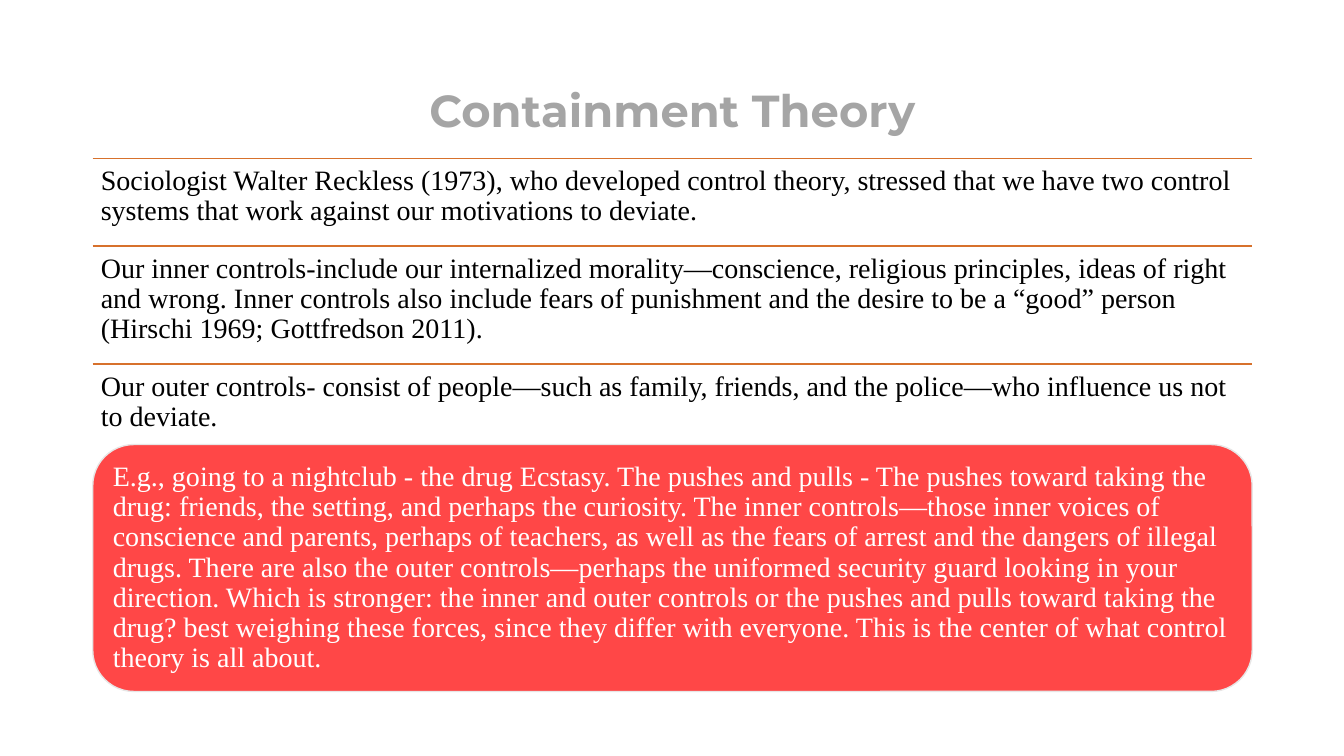
from pptx import Presentation
from pptx.dml.color import RGBColor
from pptx.enum.shapes import MSO_CONNECTOR as Connector, MSO_SHAPE as Shape
from pptx.enum.text import MSO_ANCHOR as Anchor, MSO_AUTO_SIZE as AutoSize, PP_ALIGN as Align
from pptx.oxml.ns import qn
from pptx.util import Inches, Pt
from lxml import etree

LEFT, WIDTH = 0.92, 11.5
BODY_FONT = {"name": "Times New Roman", "size": Pt(20), "bold": False}
TITLE_FONT = {"name": "Montserrat", "size": Pt(32), "bold": True}
STATEMENTS = [
    (1.57, 0.87, "Sociologist Walter Reckless (1973), who developed control theory, stressed that "
     "we have two control systems that work against our motivations to deviate."),
    (2.44, 1.17, "Our inner controls-include our internalized morality—conscience, religious "
     "principles, ideas of right and wrong. Inner controls also include fears of punishment and "
     "the desire to be a “good” person (Hirschi 1969; Gottfredson 2011)."),
    (3.61, 0.87, "Our outer controls- consist of people—such as family, friends, and the "
     "police—who influence us not to deviate."),
]
EXAMPLE = (
    "E.g., going to a nightclub - the drug Ecstasy. The pushes and pulls - The pushes toward "
    "taking the drug: friends, the setting, and perhaps the curiosity. The inner controls—those "
    "inner voices of conscience and parents, perhaps of teachers, as well as the fears of arrest "
    "and the dangers of illegal drugs. There are also the outer controls—perhaps the uniformed "
    "security guard looking in your direction. Which is stronger: the inner and outer controls or "
    "the pushes and pulls toward taking the drug? best weighing these forces, since they differ "
    "with everyone. This is the center of what control theory is all about."
)


def color(value):
    """Return the RGB colour for a hex string."""
    return RGBColor.from_string(value)


def box(top, height):
    """Return the position and size of a full-width element."""
    return [Inches(length) for length in (LEFT, top, WIDTH, height)]


def set_all(target, values):
    """Set every attribute in values on target."""
    for name, value in values.items():
        setattr(target, name, value)


def write(shape, text, font, font_color, align=Align.LEFT, anchor=Anchor.TOP):
    """Put one formatted paragraph into a shape."""
    frame = shape.text_frame
    margins = ("margin_left", "margin_top", "margin_right", "margin_bottom")
    set_all(frame, {"word_wrap": True, "auto_size": AutoSize.NONE, "vertical_anchor": anchor})
    set_all(frame, dict.fromkeys(margins, Inches(0.08)))
    paragraph = frame.paragraphs[0]
    paragraph.text = text
    set_all(paragraph, {"alignment": align, "line_spacing": 0.9})
    set_all(paragraph.font, font)
    paragraph.font.color.rgb = color(font_color)


def add_title(slide, text):
    """Place and format the slide title."""
    title = slide.shapes.title
    set_all(title, dict(zip(("left", "top", "width", "height"), box(0.4, 1.45))))
    write(title, text, TITLE_FONT, "A5A5A5", Align.CENTER, Anchor.MIDDLE)


def add_statement(slide, top, height, text):
    """Add a statement under a horizontal rule."""
    rule = slide.shapes.add_connector(
        Connector.STRAIGHT, Inches(LEFT), Inches(top), Inches(LEFT + WIDTH), Inches(top))
    rule.line.color.rgb = color("D7712C")
    rule.line.width = Pt(1)
    etree.SubElement(rule._element.spPr, qn("a:effectLst"))
    write(slide.shapes.add_textbox(*box(top, height)), text, BODY_FONT, "000000")


def add_example(slide, top, height, text):
    """Add the rounded panel that holds the example."""
    panel = slide.shapes.add_shape(Shape.ROUNDED_RECTANGLE, *box(top, height))
    panel.shadow.inherit = False
    panel.fill.solid()
    panel.fill.fore_color.rgb = color("FF4747")
    panel.line.color.rgb = color("E7E6E6")
    panel.line.width = Pt(1)
    write(panel, text, BODY_FONT, "FFFFFF", anchor=Anchor.MIDDLE)


def main():
    """Build and save the presentation."""
    presentation = Presentation()
    set_all(presentation, {"slide_width": Inches(13.33), "slide_height": Inches(7.5)})
    slide = presentation.slides.add_slide(presentation.slide_layouts[5])
    add_title(slide, "Containment Theory")
    for top, height, text in STATEMENTS:
        add_statement(slide, top, height, text)
    add_example(slide, 4.41, 2.45, EXAMPLE)
    presentation.save("out.pptx")


if __name__ == "__main__":
    main()
